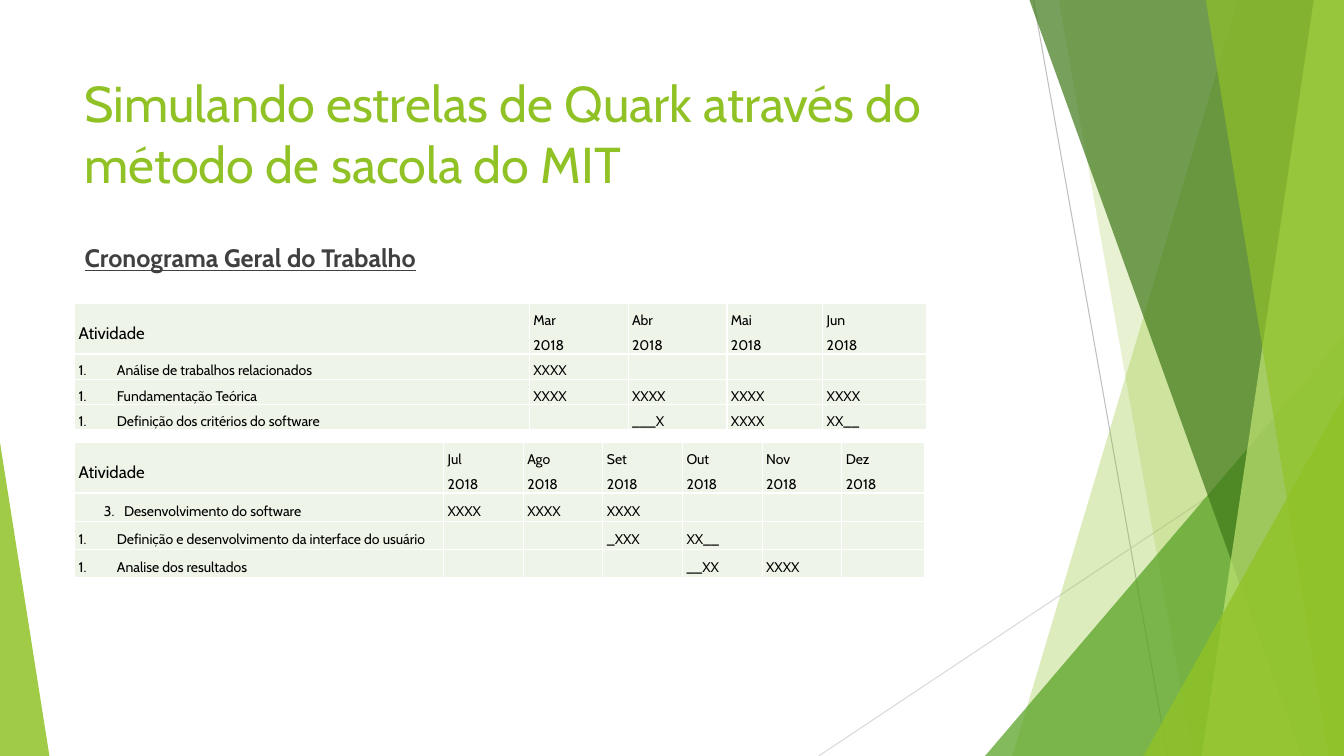
from dataclasses import dataclass
from typing import NamedTuple

from lxml.etree import SubElement
from pptx import Presentation
from pptx.dml.color import RGBColor
from pptx.enum.shapes import MSO_CONNECTOR as Connector, MSO_SHAPE as Preset
from pptx.enum.text import MSO_ANCHOR as Anchor
from pptx.oxml.ns import qn
from pptx.util import Inches, Pt


@dataclass(frozen=True)
class Theme:
    """Colours, type sizes and font of the slide."""
    lime: str = "90C226"
    green: str = "54A021"
    forest: str = "3F7819"
    pale_lime: str = "C0E474"
    ray: str = "BFBFBF"
    light_ray: str = "D9D9D9"
    cell: str = "EEF4E8"
    white: str = "FFFFFF"
    black: str = "000000"
    grey: str = "404040"
    font: str = "Cabin"
    title: int = 36
    subtitle: int = 18
    heading: int = 12
    body: int = 10


class Ray(NamedTuple):
    """A thin line from one point to another."""
    x1: float
    y1: float
    x2: float
    y2: float
    color: str


class Band(NamedTuple):
    """A full-height facet whose slanted left edge ends at the right margin."""
    top_x: float
    bottom_x: float
    color: str
    opacity: int


class Peak(NamedTuple):
    """A triangle standing on the bottom edge, apex given as a share of width."""
    left: float
    top: float
    width: float
    apex: int
    color: str
    opacity: int


class Activity(NamedTuple):
    """One row of the schedule: name, monthly marks and numbering."""
    name: str
    marks: tuple[str, ...]
    number: int = 1
    margin: float = 0.38
    hanging: float = 0.38


class Schedule(NamedTuple):
    """A table of activities against months."""
    top: float
    columns: tuple[float, ...]
    row_height: float
    months: tuple[str, ...]
    activities: tuple[Activity, ...]


THEME = Theme()
WIDTH, HEIGHT = 13.33, 7.5
LEFT, HEADER_HEIGHT, YEAR = 0.74, 0.5, "2018"

RAYS = (Ray(10.25, 0, 11.58, HEIGHT, THEME.ray),
        Ray(WIDTH, 4.03, 8.12, HEIGHT, THEME.light_ray))
FACETS = (
    Band(12.28, 10.04, THEME.lime, 30),
    Band(10.5, 11.83, THEME.lime, 20),
    Peak(9.77, 3.33, 3.56, 1, THEME.green, 72),
    Band(10.21, 12.91, THEME.forest, 70),
    Band(13.03, 11.92, THEME.pale_lime, 70),
    Band(11.96, 13.18, THEME.lime, 65),
    Peak(11.34, 3.93, 1.99, 1, THEME.lime, 80),
    Peak(0, 4.39, 0.49, 0, THEME.lime, 85),
)
FULL = "XXXX"
SCHEDULES = (
    Schedule(3.01, (4.51, 0.98, 0.98, 0.95, 1.03), 0.25,
             ("Mar", "Abr", "Mai", "Jun"), (
        Activity("Análise de trabalhos relacionados", (FULL, "", "", "")),
        Activity("Fundamentação Teórica", (FULL,) * 4),
        Activity("Definição dos critérios do software", ("", "___X", FULL, "XX__")),
    )),
    Schedule(4.39, (3.66, *(0.79,) * 5, 0.82), 0.28,
             ("Jul", "Ago", "Set", "Out", "Nov", "Dez"), (
        Activity("Desenvolvimento do software", (FULL, FULL, FULL, "", "", ""), 3, 0.45, 0.2),
        Activity("Definição e desenvolvimento da interface do usuário",
                 ("", "", "_XXX", "XX__", "", "")),
        Activity("Analise dos resultados", ("", "", "", "__XX", FULL, "")),
    )),
)


def apply(target, formats: dict) -> None:
    """Set each format value on the target."""
    for key, value in formats.items():
        setattr(target, key, value)


def write(paragraph, text: str, size: int, color: str, **formats) -> None:
    """Add one styled run to a paragraph."""
    run = paragraph.add_run()
    run.text = text
    apply(run.font, {"name": THEME.font, "size": Pt(size), **formats})
    run.font.color.rgb = RGBColor.from_string(color)


def draw_ray(slide, ray: Ray) -> None:
    """Draw a thin decorative line."""
    line = slide.shapes.add_connector(
        Connector.STRAIGHT, *map(Inches, (ray.x1, ray.y1, ray.x2, ray.y2)))
    line.line.color.rgb = RGBColor.from_string(ray.color)
    line.line.width = Pt(0.75)
    SubElement(line.element.spPr, qn("a:effectLst"))


def draw_facet(slide, facet: Band | Peak) -> None:
    """Draw a translucent band or triangle."""
    if isinstance(facet, Band):
        outline = slide.shapes.build_freeform(Inches(facet.top_x), 0)
        corners = ((WIDTH, 0), (WIDTH, HEIGHT), (facet.bottom_x, HEIGHT))
        outline.add_line_segments([(Inches(x), Inches(y)) for x, y in corners])
        shape = outline.convert_to_shape()
    else:
        shape = slide.shapes.add_shape(
            Preset.ISOSCELES_TRIANGLE,
            *map(Inches, (facet.left, facet.top, facet.width, HEIGHT - facet.top)))
        shape.adjustments[0] = facet.apex
    shape.shadow.inherit = False
    shape.line.fill.background()
    shape.fill.solid()
    shape.fill.fore_color.rgb = RGBColor.from_string(facet.color)
    color = shape.element.spPr.find(f"{qn('a:solidFill')}/{qn('a:srgbClr')}")
    SubElement(color, qn("a:alpha"), val=str(facet.opacity * 1000))


def draw_text(slide, top: float, height: float, text: str, size: int, color: str,
              **formats) -> None:
    """Draw a wrapped line of heading text."""
    frame = slide.shapes.add_textbox(
        *map(Inches, (LEFT, top, 9.4, height))).text_frame
    frame.word_wrap = True
    write(frame.paragraphs[0], text, size, color, **formats)


def style_cell(cell) -> None:
    """Give a cell its margins, white borders and fill."""
    apply(cell, {"margin_left": Inches(0.04), "margin_right": Inches(0.05),
                 "margin_top": 0, "margin_bottom": 0,
                 "vertical_anchor": Anchor.MIDDLE})
    properties = cell._tc.get_or_add_tcPr()
    for side in ("lnL", "lnR", "lnT", "lnB"):
        border = SubElement(properties, qn(f"a:{side}"), w=str(Pt(1)))
        SubElement(SubElement(border, qn("a:solidFill")), qn("a:srgbClr"), val=THEME.white)
    cell.fill.solid()
    cell.fill.fore_color.rgb = RGBColor.from_string(THEME.cell)


def fill_cell(cell, lines: tuple[str, ...], size: int = THEME.body) -> None:
    """Style a cell and write one paragraph per line."""
    style_cell(cell)
    for index, line in enumerate(lines):
        paragraph = cell.text_frame.add_paragraph() if index else cell.text_frame.paragraphs[0]
        paragraph.line_spacing = 1.5
        if line:
            write(paragraph, line, size, THEME.black)
        else:
            SubElement(paragraph._p, qn("a:endParaRPr"), sz=str(size * 100))


def number_cell(cell, activity: Activity) -> None:
    """Number an activity name with a hanging indent."""
    properties = cell.text_frame.paragraphs[0]._p.get_or_add_pPr()
    properties.set("marL", str(Inches(activity.margin)))
    properties.set("indent", str(-Inches(activity.hanging)))
    SubElement(properties, qn("a:buFont"), typeface=THEME.font)
    SubElement(properties, qn("a:buAutoNum"), type="arabicPeriod", startAt=str(activity.number))


def draw_schedule(slide, schedule: Schedule) -> None:
    """Draw a schedule table."""
    heights = (HEADER_HEIGHT, *(schedule.row_height,) * len(schedule.activities))
    table = slide.shapes.add_table(
        len(heights), len(schedule.columns),
        *map(Inches, (LEFT, schedule.top, sum(schedule.columns), sum(heights)))).table
    apply(table, {"first_row": False, "horz_banding": False})
    for column, width in zip(table.columns, schedule.columns):
        column.width = Inches(width)
    for row, height in zip(table.rows, heights):
        row.height = Inches(height)
    fill_cell(table.cell(0, 0), ("Atividade",), THEME.heading)
    for column, month in enumerate(schedule.months, 1):
        fill_cell(table.cell(0, column), (month, YEAR))
    for row, activity in enumerate(schedule.activities, 1):
        for column, text in enumerate((activity.name, *activity.marks)):
            fill_cell(table.cell(row, column), (text,))
        number_cell(table.cell(row, 0), activity)


deck = Presentation()
apply(deck, {"slide_width": Inches(WIDTH), "slide_height": Inches(HEIGHT)})
page = deck.slides.add_slide(deck.slide_layouts[6])
for ray in RAYS:
    draw_ray(page, ray)
for facet in FACETS:
    draw_facet(page, facet)
draw_text(page, 0.67, 1.44, "Simulando estrelas de Quark através do método de sacola do MIT",
          THEME.title, THEME.lime)
draw_text(page, 2.36, 0.5, "Cronograma Geral do Trabalho", THEME.subtitle, THEME.grey,
          bold=True, underline=True)
for schedule in SCHEDULES:
    draw_schedule(page, schedule)
deck.save("out.pptx")
